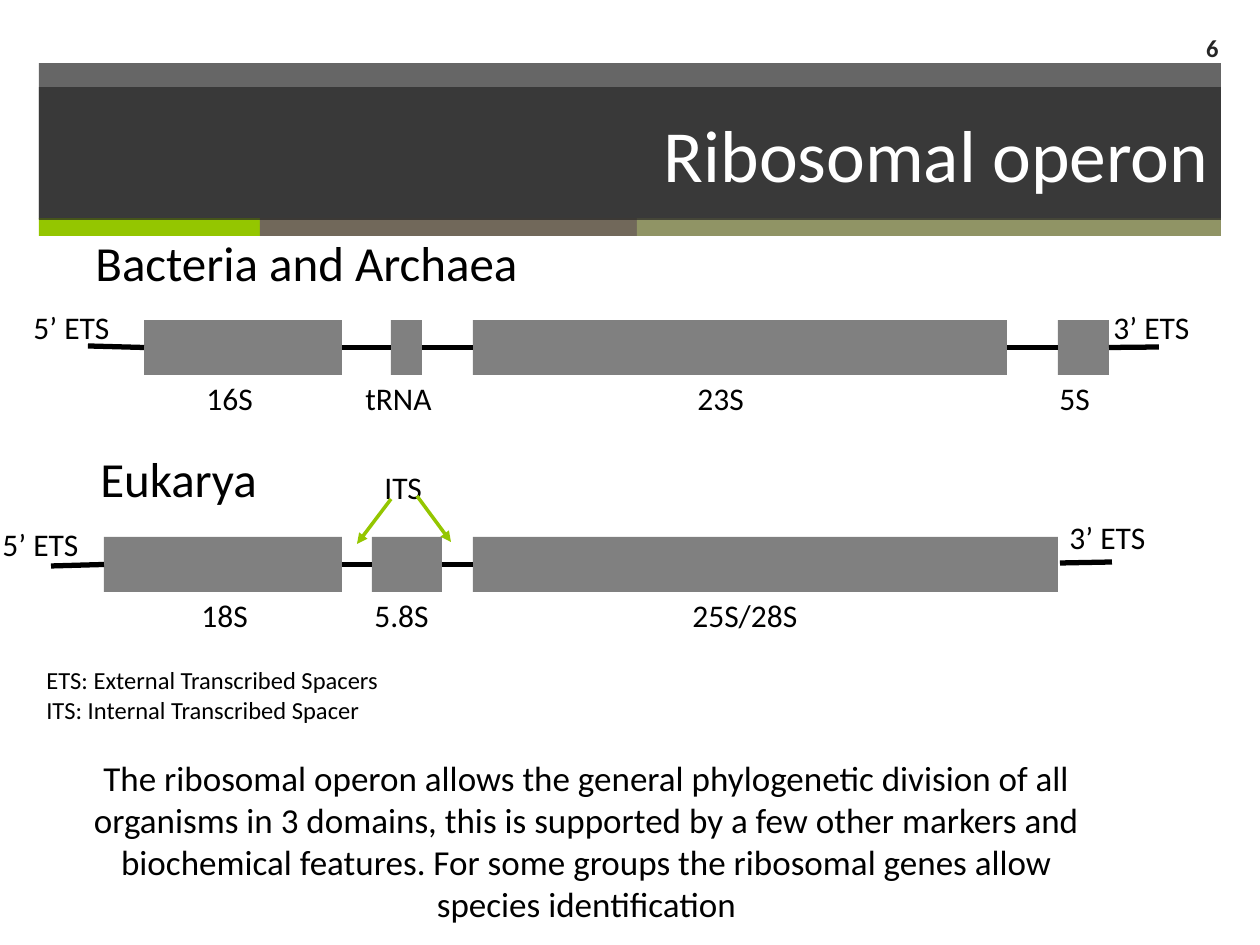
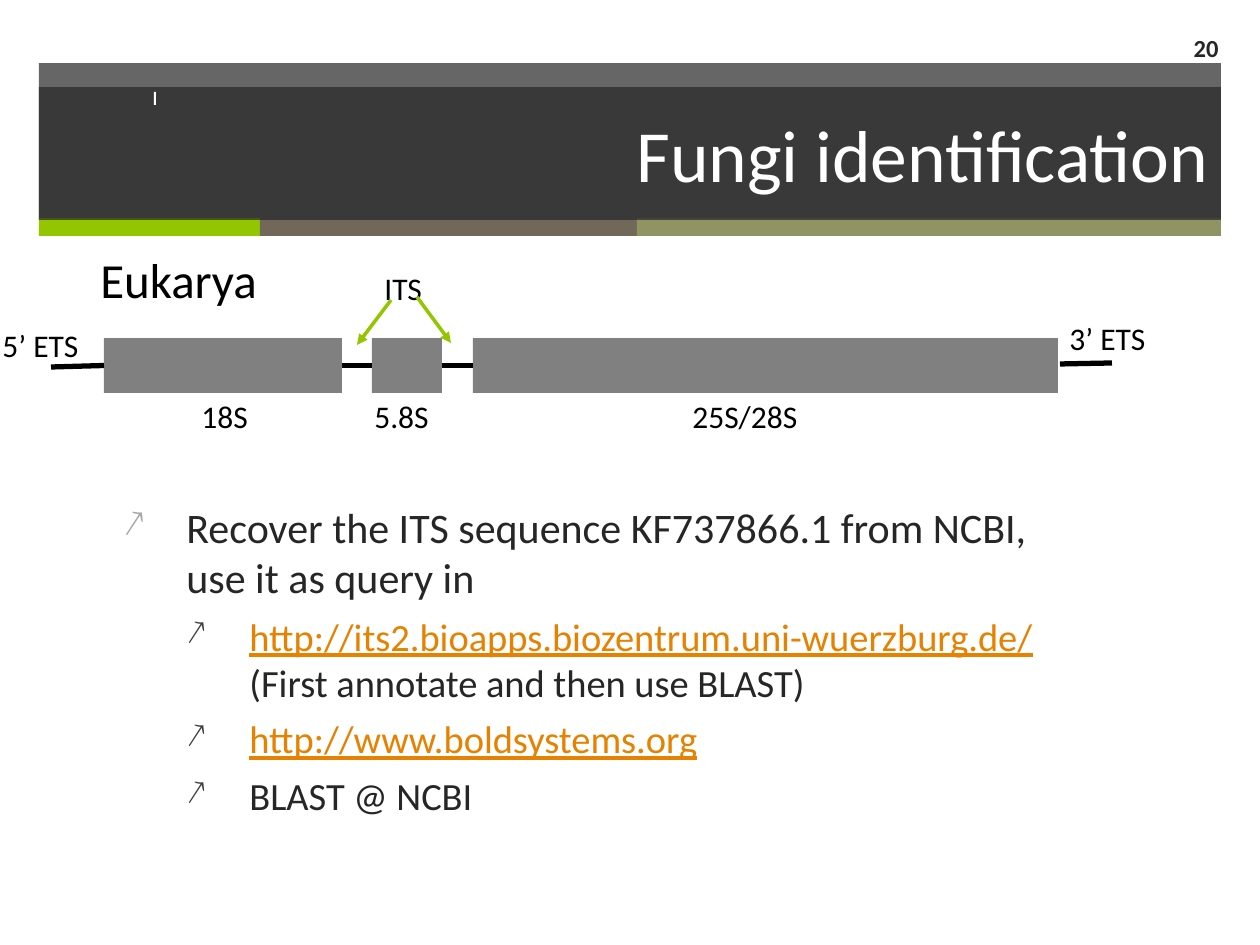
import itertools

import pptx
import pptx.dml.color
import pptx.enum.shapes
import pptx.enum.text
import pptx.oxml.ns
import pptx.util
from lxml import etree

SCALE = 914400 / 126
FONT = "Calibri"
COLORS = {
    "ink": "262626", "black": "000000", "white": "FFFFFF", "green": "94C600",
    "brown": "71685A", "olive": "909465", "gene": "808080", "link": "E68200",
    "bullet": "A6A6A6", "subbullet": "404040",
}
ALIGN = pptx.enum.text.PP_ALIGN
LEFT_SIDE, RIGHT_SIDE = 1, 3
GENE_HEIGHT = 55

PROKARYOTE_GENES = [
    ("16S", 144, 198, 194, 81),
    ("tRNA", 391, 31, 353, 110),
    ("23S", 473, 534, 685, 81),
    ("5S", 1058, 51, 1047, 63),
]
EUKARYOTE_GENES = [
    ("18S", 104, 238, 189, 81),
    ("5.8S", 372, 70, 362, 89),
    ("25S/28S", 473, 585, 680, 145),
]
TASKS = [
    (0, [("Recover the ITS sequence KF737866.1 from NCBI, use it as query in", False)]),
    (1, [("http://its2.bioapps.biozentrum.uni-wuerzburg.de/", True),
         (" (First annotate and then use BLAST)", False)]),
    (1, [("http://www.boldsystems.org", True)]),
    (1, [("BLAST @ NCBI", False)]),
]


def px(length):
    """Turn pixels into EMU."""
    return pptx.util.Emu(round(length * SCALE))


def rgb(name):
    """Look up a named colour."""
    return pptx.dml.color.RGBColor.from_string(COLORS[name])


def add_xml(parent, tag, **attributes):
    """Append a DrawingML element."""
    return etree.SubElement(parent, pptx.oxml.ns.qn(tag), attributes)


class Slides:
    """Holds the deck style and the current page."""

    def __init__(self):
        """Start an empty deck."""
        self.deck = pptx.Presentation()
        self.deck.slide_width = px(1260)
        self.deck.slide_height = px(945)
        self.page = None

    def start(self, title, number):
        """Add a page with its bands, title and number."""
        self.page = self.deck.slides.add_slide(self.deck.slide_layouts[6])
        self.rect(39, 63, 1182, 156, "ink", 70)
        edges = [39, 260, 637, 1221]
        for (left, right), color in zip(itertools.pairwise(edges), ("green", "brown", "olive")):
            self.rect(left, 218, right - left, 18, color)
        band = self.rect(39, 87, 1182, 133, "ink", 70)
        self.set_lines(band, [title], 42, "white", ALIGN.RIGHT)
        box = self.text(1144, 23, 87, 49, [str(number)], 14, "ink", ALIGN.RIGHT, wrap=True)
        box.text_frame.vertical_anchor = pptx.enum.text.MSO_ANCHOR.MIDDLE
        box.text_frame.paragraphs[0].runs[0].font.bold = True

    def rect(self, left, top, width, height, color, opacity=100):
        """Add a filled rectangle."""
        kind = pptx.enum.shapes.MSO_SHAPE.RECTANGLE
        shape = self.page.shapes.add_shape(kind, px(left), px(top), px(width), px(height))
        shape.shadow.inherit = False
        shape.fill.solid()
        shape.fill.fore_color.rgb = rgb(color)
        shape.line.fill.background()
        if opacity < 100:
            fill = shape._element.spPr.find(".//" + pptx.oxml.ns.qn("a:srgbClr"))
            add_xml(fill, "a:alpha", val=str(opacity * 1000))
        return shape

    def style(self, span, size, color):
        """Format one run."""
        span.font.name = FONT
        span.font.size = pptx.util.Pt(size)
        span.font.color.rgb = rgb(color)

    def set_lines(self, shape, lines, size, color, align):
        """Fill a shape with evenly styled paragraphs."""
        shape.text_frame.text = "\n".join(lines)
        for para in shape.text_frame.paragraphs:
            para.alignment = align
            for span in para.runs:
                self.style(span, size, color)

    def text(self, left, top, width, height, lines, size, color="black",
             align=ALIGN.LEFT, wrap=False):
        """Add a text box."""
        box = self.page.shapes.add_textbox(px(left), px(top), px(width), px(height))
        box.text_frame.word_wrap = wrap
        self.set_lines(box, lines, size, color, align)
        return box

    def label(self, text, left, top, width):
        """Add a small diagram label."""
        self.text(left, top, width, 50, [text], 18)

    def heading(self, text, left, top, width):
        """Add a diagram heading."""
        self.text(left, top, width, 72, [text], 28)

    def line(self, start, end, color="black", weight=3, arrow=False):
        """Add a line between points, or from and to (shape, side) joints."""
        straight = pptx.enum.shapes.MSO_CONNECTOR.STRAIGHT
        points = [(0, 0) if hasattr(place[0], "shape_id") else place for place in (start, end)]
        link = self.page.shapes.add_connector(
            straight, *(px(value) for point in points for value in point))
        for place, join in ((start, link.begin_connect), (end, link.end_connect)):
            if hasattr(place[0], "shape_id"):
                join(*place)
        link.line.color.rgb = rgb(color)
        link.line.width = pptx.util.Pt(weight)
        if arrow:
            add_xml(link.line._get_or_add_ln(), "a:tailEnd", type="triangle")
        add_xml(link._element.spPr, "a:effectLst")

    def genes(self, genes, top):
        """Draw labelled genes joined by spacers."""
        shapes = []
        for name, left, width, label_left, label_width in genes:
            shapes.append(self.rect(left, top, width, GENE_HEIGHT, "gene"))
            self.label(name, label_left, top + 53, label_width)
        for before, after in itertools.pairwise(shapes):
            self.line((before, RIGHT_SIDE), (after, LEFT_SIDE))
        return shapes

    def prokaryote_operon(self, top):
        """Draw the operon of bacteria and archaea."""
        self.heading("Bacteria and Archaea", 83, top - 94, 523)
        shapes = self.genes(PROKARYOTE_GENES, top)
        self.line((shapes[0], LEFT_SIDE), (88, top + 26))
        self.line((1159, top + 27), (shapes[-1], RIGHT_SIDE))
        self.label("3’ ETS", 1101, top - 18, 122)
        self.label("5’ ETS", 21, top - 18, 122)

    def eukaryote_operon(self, top):
        """Draw the operon of eukarya with its ITS arrows."""
        self.heading("Eukarya", 88, top - 95, 224)
        shapes = self.genes(EUKARYOTE_GENES, top)
        self.line((shapes[0], LEFT_SIDE), (51, top + 29))
        self.line((1112, top + 25), (1060, top + 26))
        self.label("3’ ETS", 1057, top - 25, 122)
        self.label("5’ ETS", -10, top - 18, 122)
        self.label("ITS", 372, top - 75, 79)
        self.line((391, top - 38), (357, top + 7), "green", 2, arrow=True)
        self.line((417, top - 41), (451, top + 5), "green", 2, arrow=True)

    def bullets(self, left, top, width, height, items):
        """Add a two-level bullet list."""
        box = self.page.shapes.add_textbox(px(left), px(top), px(width), px(height))
        frame = box.text_frame
        frame.word_wrap = True
        for index, (level, spans) in enumerate(items):
            para = frame.add_paragraph() if index else frame.paragraphs[0]
            para.level = level
            if index:
                para.space_before = pptx.util.Pt(6)
            props = para._p.get_or_add_pPr()
            props.set("marL", str(px(63 * (level + 1))))
            props.set("indent", str(px(-63)))
            tint = add_xml(props, "a:buClr")
            add_xml(tint, "a:srgbClr", val=COLORS["subbullet" if level else "bullet"])
            add_xml(props, "a:buSzPct", val="90000")
            add_xml(props, "a:buChar", char="↗")
            for text, is_link in spans:
                span = para.add_run()
                span.text = text
                self.style(span, 22 if level else 24, "link" if is_link else "ink")
                span.font.underline = is_link


def main():
    """Build and save the deck."""
    slides = Slides()

    slides.start("Ribosomal operon", 6)
    slides.prokaryote_operon(320)
    slides.eukaryote_operon(537)
    slides.text(34, 659, 431, 72, ["ETS: External Transcribed Spacers",
                                   "ITS: Internal Transcribed Spacer"], 14)
    slides.text(64, 750, 1045, 183, [
        "The ribosomal operon allows the general phylogenetic division of all organisms "
        "in 3 domains, this is supported by a few other markers and biochemical features. "
        "For some groups the ribosomal genes allow species identification",
    ], 20, align=ALIGN.CENTER, wrap=True)

    slides.start("Fungi identification", 20)
    slides.rect(154, 92, 2, 13, "white")
    slides.eukaryote_operon(338)
    slides.bullets(111, 495, 975, 335, TASKS)

    slides.deck.save("out.pptx")


if __name__ == "__main__":
    main()
